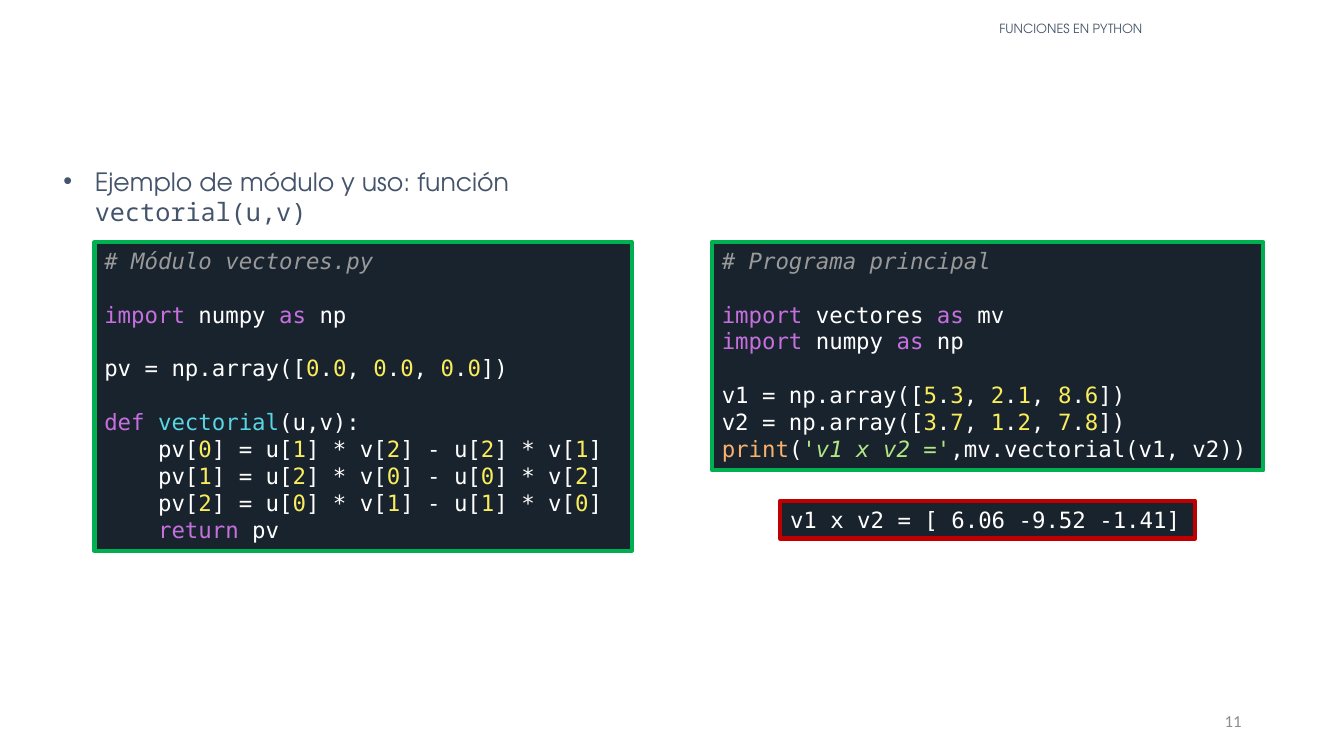
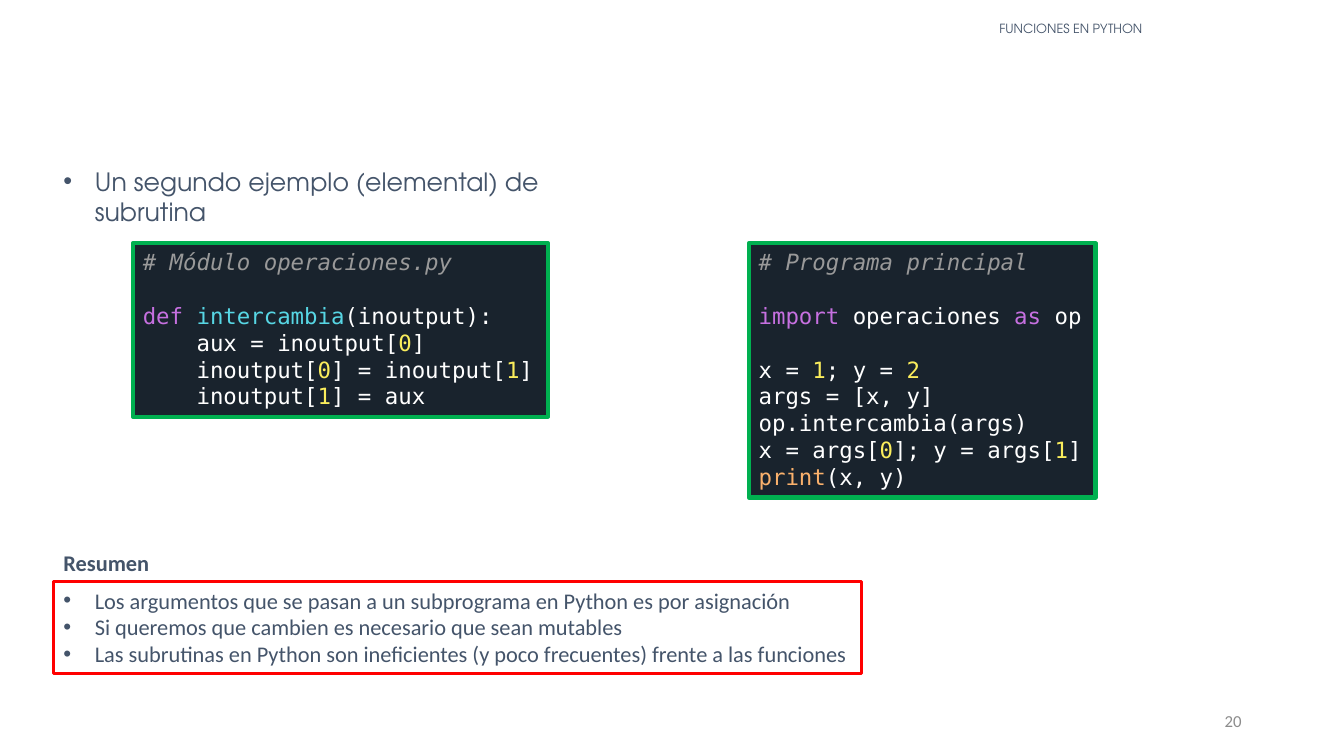
from itertools import groupby

from lxml.etree import SubElement
from pptx import Presentation
from pptx.dml.color import RGBColor
from pptx.enum.shapes import MSO_SHAPE
from pptx.enum.text import MSO_ANCHOR, MSO_AUTO_SIZE, PP_ALIGN
from pptx.oxml.ns import qn
from pptx.util import Cm, Pt

rgb = RGBColor.from_string

TEXT_FONT, HEADING_FONT, BULLET_FONT = "Calibri", "TeX Gyre Adventor", "Arial"
CODE_FONT, INLINE_CODE_FONT = "DejaVu Sans Mono", "Noto Sans Mono"
INK, GREY, WHITE = "44546A", "8C8C8C", "FFFFFF"
CODE_FILL, CODE_BORDER, OUTPUT_BORDER, SUMMARY_BORDER = "19232D", "00B050", "C00000", "FF0000"
COMMENT, KEYWORD, NAME, BUILTIN, NUMBER, STRING = (
    "999999", "C670E0", "57D6E4", "FAB16C", "FAED5C", "B0E686")
WORD_COLORS = {"import": KEYWORD, "as": KEYWORD, "def": KEYWORD, "return": KEYWORD,
               "print": BUILTIN}
LEFT = 1.35

PAGES = [
    {
        "number": "11",
        "heading": "Ejemplo de módulo y uso: función ",
        "heading_code": "vectorial(u,v)",
        "code_top": 6.1,
        "listings": [
            (2.38, 13.54, 7.78, """# Módulo vectores.py

import numpy as np

pv = np.array([0.0, 0.0, 0.0])

def vectorial(u,v):
    pv[0] = u[1] * v[2] - u[2] * v[1]
    pv[1] = u[2] * v[0] - u[0] * v[2]
    pv[2] = u[0] * v[1] - u[1] * v[0]
    return pv"""),
            (17.94, 13.9, 5.75, """# Programa principal

import vectores as mv
import numpy as np

v1 = np.array([5.3, 2.1, 8.6])
v2 = np.array([3.7, 1.2, 7.8])
print('v1 x v2 =',mv.vectorial(v1, v2))"""),
        ],
        "output": "v1 x v2 = [ 6.06 -9.52 -1.41]",
        "summary": [],
    },
    {
        "number": "20",
        "heading": "Un segundo ejemplo (elemental) de subrutina",
        "heading_code": "",
        "code_top": 6.13,
        "listings": [
            (3.35, 10.46, 4.37, """# Módulo operaciones.py

def intercambia(inoutput):
    aux = inoutput[0]
    inoutput[0] = inoutput[1]
    inoutput[1] = aux"""),
            (18.87, 8.74, 6.41, """# Programa principal

import operaciones as op

x = 1; y = 2
args = [x, y]
op.intercambia(args)
x = args[0]; y = args[1]
print(x, y)"""),
        ],
        "output": "",
        "summary": [
            "Los argumentos que se pasan a un subprograma en Python es por asignación",
            "Si queremos que cambien es necesario que sean mutables",
            "Las subrutinas en Python son ineficientes (y poco frecuentes) frente a las funciones",
        ],
    },
]


def add_text(slide, box, text, size, font, color=INK, align=PP_ALIGN.LEFT, bullet=False,
             border=None, border_width=3, fill=None):
    """Add a text box, or a rectangle when there is a border, and return its text frame."""
    box = [Cm(length) for length in box]
    if border:
        panel = slide.shapes.add_shape(MSO_SHAPE.RECTANGLE, *box)
        panel.shadow.inherit = False
        panel.line.color.rgb = rgb(border)
        panel.line.width = Pt(border_width)
    else:
        panel = slide.shapes.add_textbox(*box)
    if fill:
        panel.fill.solid()
        panel.fill.fore_color.rgb = rgb(fill)
    else:
        panel.fill.background()
    frame = panel.text_frame
    frame.word_wrap = font != CODE_FONT
    frame.auto_size = MSO_AUTO_SIZE.SHAPE_TO_FIT_TEXT if border else MSO_AUTO_SIZE.NONE
    frame.vertical_anchor = MSO_ANCHOR.TOP
    frame.text = text
    for paragraph in frame.paragraphs:
        paragraph.alignment = align
        if bullet:
            properties = paragraph._p.get_or_add_pPr()
            properties.set("marL", str(Cm(0.79)))
            properties.set("indent", str(-Cm(0.79)))
            SubElement(properties, qn("a:buFont")).set("typeface", BULLET_FONT)
            SubElement(properties, qn("a:buChar")).set("char", "•")
        paragraph.font.size = Pt(size)
        paragraph.font.name = font
        paragraph.font.color.rgb = rgb(color)
    return frame


def highlight(paragraph):
    """Split a line of Python into runs coloured by syntax."""
    line = paragraph.text
    paragraph.clear()
    tokens = []
    if line.startswith("#"):
        tokens.append((line, COMMENT))
    else:
        for position, part in enumerate(line.split("'")):
            if position % 2:
                tokens.append((f"'{part}'", STRING))
                continue
            after_def = False
            for is_word, letters in groupby(part, str.isalnum):
                word = "".join(letters)
                color = WORD_COLORS.get(word, WHITE)
                if word.isdigit():
                    color = NUMBER
                elif is_word and after_def:
                    color = NAME
                if is_word:
                    after_def = word == "def"
                tokens.append((word, color))
    for color, group in groupby(tokens, lambda token: token[1]):
        run = paragraph.add_run()
        run.text = "".join(word for word, _ in group)
        run.font.color.rgb = rgb(color)
        if color in (COMMENT, STRING):
            run.font.italic = True


presentation = Presentation()
presentation.slide_width = Cm(33.87)
presentation.slide_height = Cm(19.05)

for page in PAGES:
    slide = presentation.slides.add_slide(presentation.slide_layouts[6])
    add_text(slide, (20.24, 0.45, 13.49, 0.71), "FUNCIONES EN PYTHON", 9, HEADING_FONT,
             align=PP_ALIGN.CENTER).paragraphs[0].line_spacing = 0.9
    heading = add_text(slide, (LEFT, 4.06, 15.2, 2), page["heading"], 18, HEADING_FONT,
                       bullet=True)
    if page["heading_code"]:
        inline_code = heading.paragraphs[0].add_run()
        inline_code.text = page["heading_code"]
        inline_code.font.name = INLINE_CODE_FONT

    for left, width, height, code in page["listings"]:
        listing = add_text(slide, (left, page["code_top"], width, height), code, 16, CODE_FONT,
                           WHITE, border=CODE_BORDER, fill=CODE_FILL)
        for paragraph in listing.paragraphs:
            highlight(paragraph)

    if page["output"]:
        add_text(slide, (19.66, 12.62, 10.46, 0.95), page["output"], 16, CODE_FONT, WHITE,
                 border=OUTPUT_BORDER, fill=CODE_FILL)
    if page["summary"]:
        title = add_text(slide, (LEFT, 13.72, 2.84, 0.94), "Resumen", 16, TEXT_FONT)
        title.paragraphs[0].font.bold = True
        add_text(slide, (LEFT, 14.66, 20.37, 2.31), "\n".join(page["summary"]), 16, TEXT_FONT,
                 align=PP_ALIGN.JUSTIFY, bullet=True, border=SUMMARY_BORDER, border_width=2.25)

    number = add_text(slide, (23.92, 17.65, 7.62, 1.02), page["number"], 12, TEXT_FONT, GREY,
                      align=PP_ALIGN.RIGHT)
    number.vertical_anchor = MSO_ANCHOR.MIDDLE

presentation.save("out.pptx")
